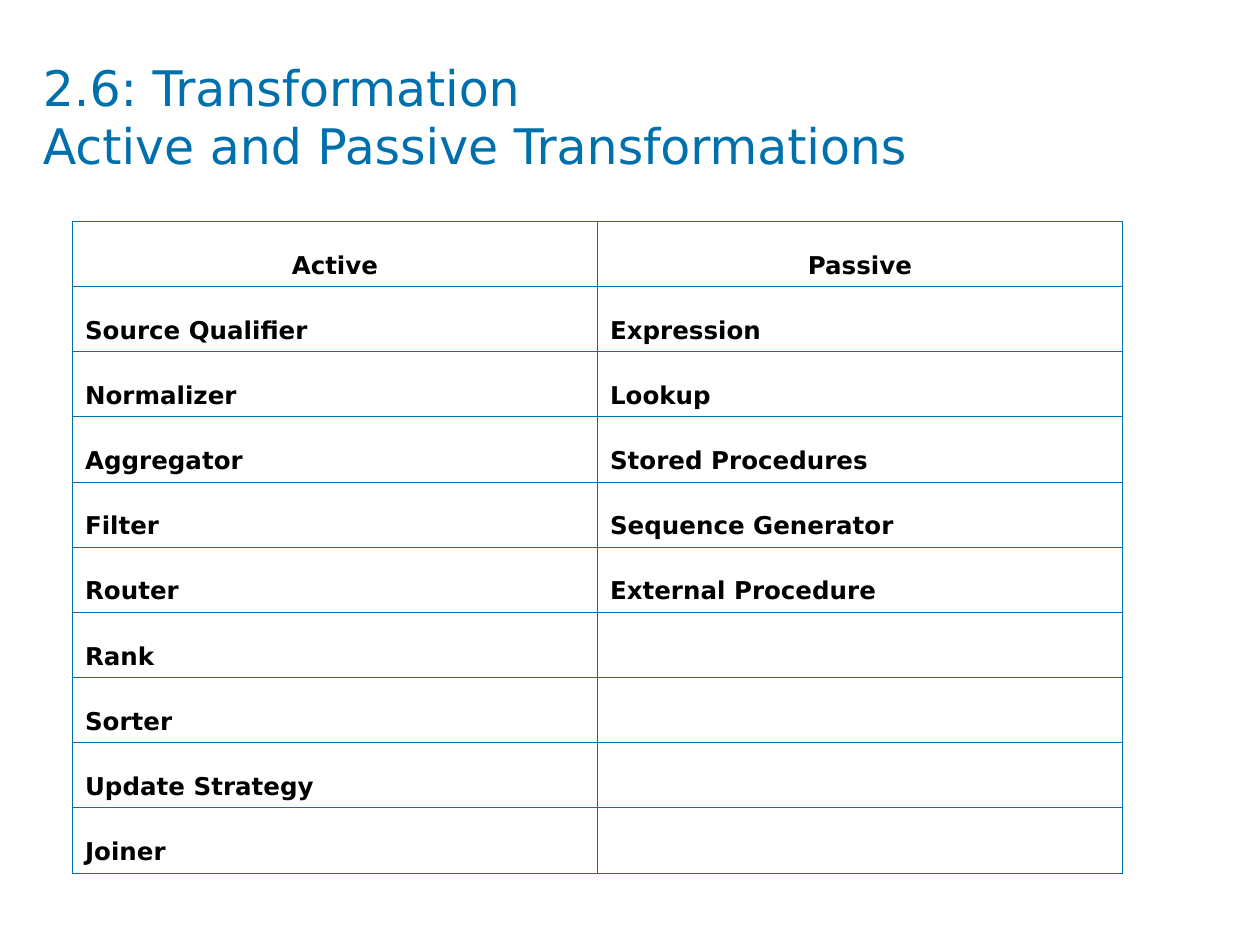
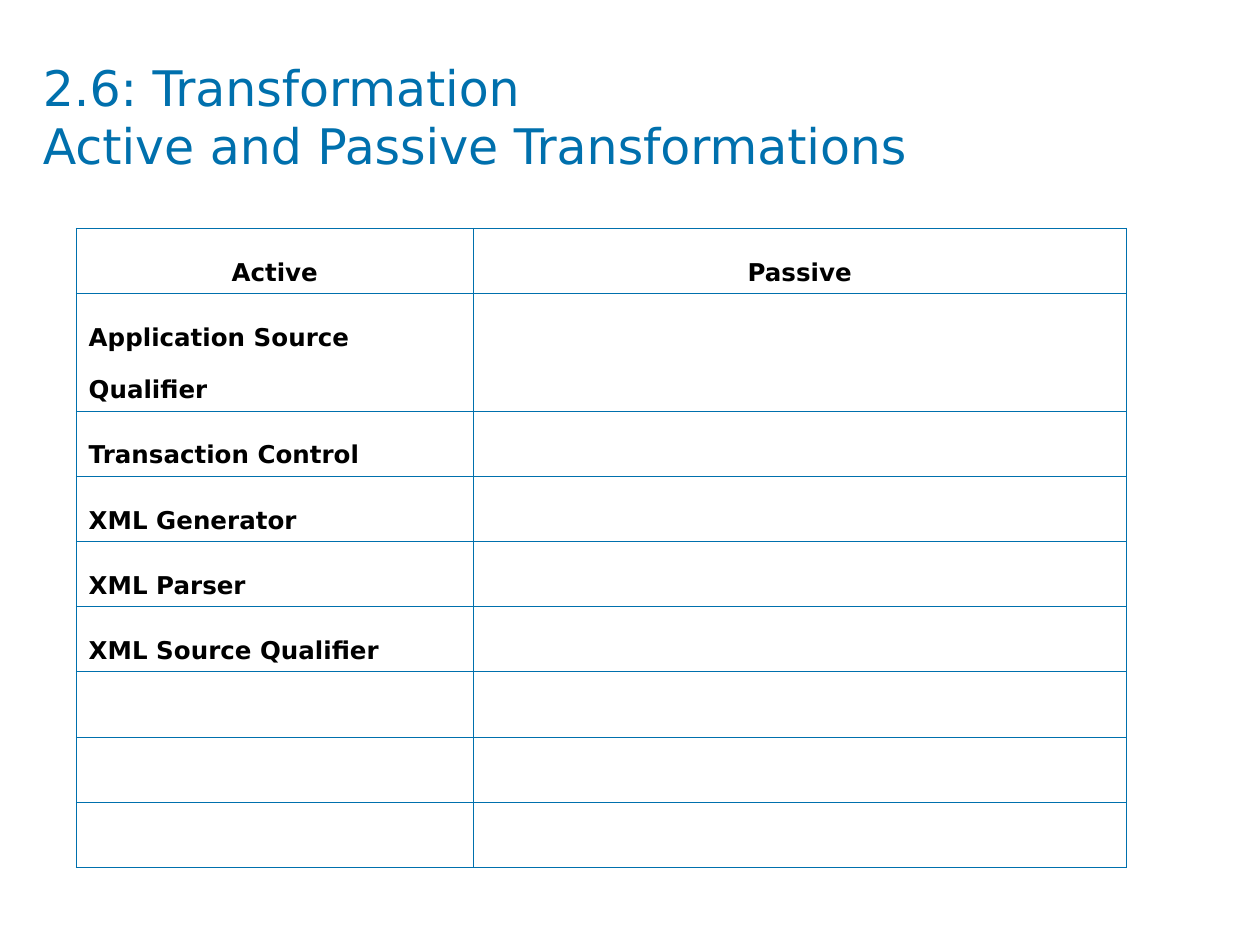
from dataclasses import dataclass
from itertools import zip_longest

from lxml import etree
from pptx import Presentation
from pptx.dml.color import RGBColor
from pptx.enum.text import MSO_ANCHOR, PP_ALIGN
from pptx.oxml.ns import qn
from pptx.util import Pt

MIDDLE = MSO_ANCHOR.MIDDLE
CENTER, LEFT = PP_ALIGN.CENTER, PP_ALIGN.LEFT

HEADING = "2.6: Transformation\nActive and Passive Transformations"
COLUMNS = ("Active", "Passive")
SLIDES = [
    {
        "active": ["Source Qualifier", "Normalizer", "Aggregator", "Filter", "Router",
                   "Rank", "Sorter", "Update Strategy", "Joiner"],
        "passive": ["Expression", "Lookup", "Stored Procedures", "Sequence Generator",
                    "External Procedure"],
        "spare_rows": 0,
        "origin": (41.4, 126.4),
        "widths": (300, 300),
        "two_line": (),
    },
    {
        "active": ["Application Source Qualifier", "Transaction Control", "XML Generator",
                   "XML Parser", "XML Source Qualifier"],
        "passive": [],
        "spare_rows": 3,
        "origin": (43.5, 130.4),
        "widths": (227, 373),
        "two_line": ("Application Source Qualifier",),
    },
]


@dataclass(frozen=True)
class Theme:
    font: str = "DejaVu Sans"
    blue: str = "0070AD"
    black: str = "000000"
    heading_size: float = 28
    entry_size: float = 14
    entry_line: float = 30
    row_padding: float = 7.25
    border: float = 0.45


THEME = Theme()
HEADING_FONT = {"name": THEME.font, "size": Pt(THEME.heading_size), "bold": False}
ENTRY_FONT = {"name": THEME.font, "size": Pt(THEME.entry_size), "bold": True}
HEADING_FRAME = {"margin_left": 0, "margin_top": 0, "margin_right": 0, "margin_bottom": 0,
                 "word_wrap": True, "vertical_anchor": MIDDLE}
TABLE_FLAGS = {"first_row": False, "horz_banding": False}


def apply(target, values):
    for name, value in values.items():
        setattr(target, name, value)


def style_font(font, values, colour):
    apply(font, values)
    font.color.rgb = RGBColor.from_string(colour)


def add_heading(slide):
    frame = slide.shapes.add_textbox(Pt(24.5), Pt(32.4), Pt(672), Pt(67.7)).text_frame
    apply(frame, HEADING_FRAME)
    heading = frame.paragraphs[0]
    heading.text = HEADING
    style_font(heading.font, HEADING_FONT, THEME.blue)


def add_borders(cell):
    properties = cell._tc.get_or_add_tcPr()
    for side in ("a:lnL", "a:lnR", "a:lnT", "a:lnB"):
        line = etree.SubElement(properties, qn(side), w=str(Pt(THEME.border)))
        fill = etree.SubElement(line, qn("a:solidFill"))
        etree.SubElement(fill, qn("a:srgbClr"), val=THEME.blue)


def fill_cell(cell, entry, alignment):
    add_borders(cell)
    cell.fill.background()
    if entry:
        paragraph = cell.text_frame.paragraphs[0]
        paragraph.text = entry
        paragraph.alignment = alignment
        paragraph.line_spacing = Pt(THEME.entry_line)
        style_font(paragraph.font, ENTRY_FONT, THEME.black)


def add_transformations(slide, content):
    pairs = list(zip_longest(content["active"], content["passive"], fillvalue=""))
    rows = [COLUMNS] + pairs + [("", "")] * content["spare_rows"]
    heights = [THEME.entry_line * (2 if row[0] in content["two_line"] else 1)
               + THEME.row_padding for row in rows]
    left, top = content["origin"]
    table = slide.shapes.add_table(
        len(rows), len(COLUMNS), Pt(left), Pt(top),
        Pt(sum(content["widths"])), Pt(sum(heights))).table
    apply(table, TABLE_FLAGS)
    for column, width in zip(table.columns, content["widths"]):
        column.width = Pt(width)
    for r, (row, height) in enumerate(zip(rows, heights)):
        table.rows[r].height = Pt(height)
        for c, entry in enumerate(row):
            fill_cell(table.cell(r, c), entry, CENTER if r == 0 else LEFT)


def main():
    deck = Presentation()
    deck.slide_width, deck.slide_height = Pt(720), Pt(540)
    blank = deck.slide_layouts[6]
    for content in SLIDES:
        slide = deck.slides.add_slide(blank)
        add_heading(slide)
        add_transformations(slide, content)
    deck.save("out.pptx")


if __name__ == "__main__":
    main()
